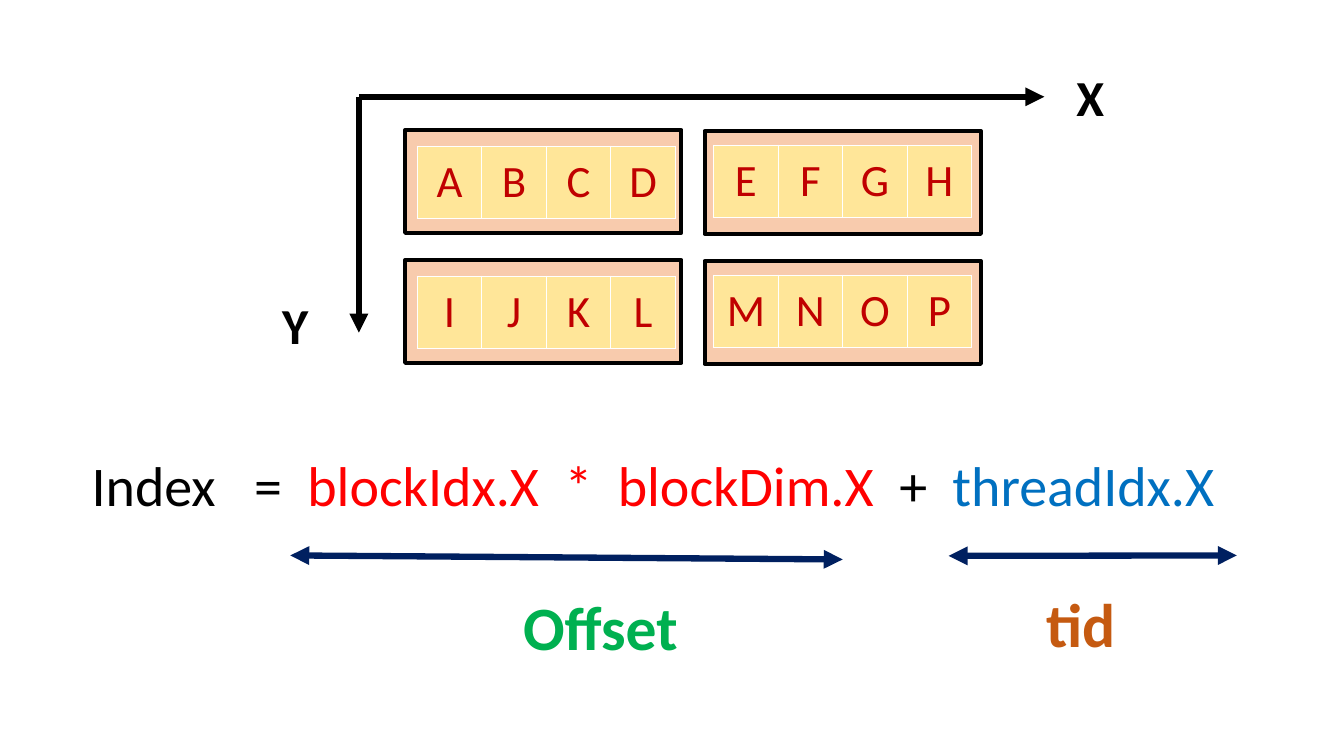
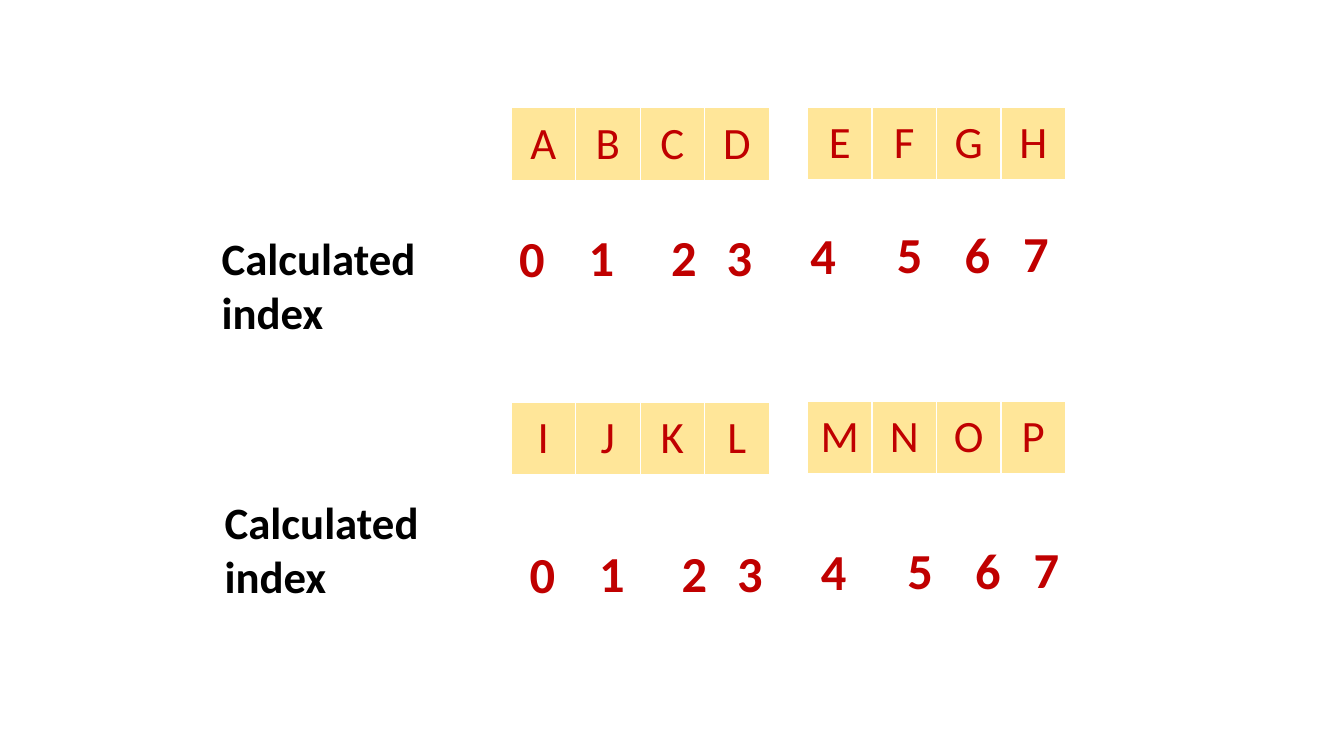
from dataclasses import dataclass
from typing import NamedTuple

from lxml import etree
from pptx import Presentation
from pptx.dml.color import RGBColor
from pptx.enum.shapes import MSO_CONNECTOR, MSO_SHAPE
from pptx.enum.text import MSO_ANCHOR, PP_ALIGN
from pptx.oxml.ns import qn
from pptx.slide import Slide
from pptx.util import Emu, Inches, Pt

RECT = MSO_SHAPE.RECTANGLE
STRAIGHT = MSO_CONNECTOR.STRAIGHT
MIDDLE = MSO_ANCHOR.MIDDLE
CENTER = PP_ALIGN.CENTER


@dataclass(frozen=True)
class Theme:
    font: str = "Calibri"
    black: str = "000000"
    letter: str = "C00000"
    cell: str = "FFE699"
    block: str = "F8CBAD"
    offset_term: str = "FF0000"
    thread_term: str = "0070C0"
    span: str = "002060"
    offset: str = "00B050"
    tid: str = "C55A11"
    cell_size: int = 32
    axis_size: int = 36
    formula_size: int = 40
    span_size: int = 44
    block_line: float = 3
    arrow_line: float = 4.5


class Box(NamedTuple):
    x: float
    y: float
    w: float
    h: float


class Label(NamedTuple):
    text: str
    box: Box
    size: int
    color: str


class Arrow(NamedTuple):
    x1: float
    y1: float
    x2: float
    y2: float
    color: str
    both_ends: bool


class Term(NamedTuple):
    text: str
    color: str


class Digit(NamedTuple):
    x: float
    y: float


T = Theme()
WIDTH, HEIGHT = Inches(13.33), Inches(7.5)
COL, ROW = WIDTH / 100, HEIGHT / 100

THREADS = (("ABCD", "EFGH"), ("IJKL", "MNOP"))
TABLE_W, TABLE_H, TABLE_PITCH = 19.2, 9.6, 22.05
RIGHT_NUDGE = 0.13
BLOCK = Box(30.15, 17.2, 20.55, 13.6)
BLOCK_PITCH_X, BLOCK_PITCH_Y = 22.28, 17.2

FORMULA_BOX = Box(6.08, 58.93, 86.25, 10.27)
FORMULA_TABS = (12.08, 16.05, 35.2, 39.15, 60.1, 64.05)
FORMULA = (
    Term("Index\t=\t", T.black),
    Term("blockIdx.X\t*\tblockDim.X\t", T.offset_term),
    Term("+\t", T.black),
    Term("threadIdx.X", T.thread_term),
)
ARROWS = (
    Arrow(26.7, 12.8, 77.7, 12.8, T.black, False),
    Arrow(26.7, 12.8, 26.7, 44, T.black, False),
    Arrow(21.6, 73.47, 62.7, 74, T.span, True),
    Arrow(70.58, 73.53, 92.03, 73.47, T.span, True),
)
GRID_LABELS = (
    Label("X", Box(79.35, 8.13, 6.98, 9.47), T.axis_size, T.black),
    Label("Y", Box(20.25, 38.27, 6.98, 9.47), T.axis_size, T.black),
    Label("Offset", Box(38.18, 77.2, 17.25, 11.2), T.span_size, T.offset),
    Label("tid", Box(77.1, 76.8, 9.75, 11.2), T.span_size, T.tid),
)

DIGITS = (
    Digit(37.88, 29.33), Digit(43.05, 29.2), Digit(49.2, 29.2), Digit(53.33, 29.2),
    Digit(59.55, 28.93), Digit(66, 28.8), Digit(71.03, 28.8), Digit(75.38, 28.67),
)
DIGIT_SHIFTS = ((0, 0), (0.78, 41.87))
INDEX_LABELS = tuple(
    Label("Calculated index", Box(x, y, 23.03, 15.73), T.cell_size, T.black)
    for x, y in ((15.75, 29.87), (15.98, 64.8))
)


def place(box: Box) -> tuple[Emu, Emu, Emu, Emu]:
    return (Emu(round(box.x * COL)), Emu(round(box.y * ROW)),
            Emu(round(box.w * COL)), Emu(round(box.h * ROW)))


def rgb(color: str) -> RGBColor:
    return RGBColor.from_string(color)


def style(p, size: int, color: str, bold: bool) -> None:
    p.font.name = T.font
    p.font.size = Pt(size)
    p.font.bold = bold
    p.font.color.rgb = rgb(color)


def draw_label(s: Slide, label: Label) -> None:
    tf = s.shapes.add_textbox(*place(label.box)).text_frame
    tf.word_wrap = True
    p = tf.paragraphs[0]
    p.text = label.text
    style(p, label.size, label.color, True)


def draw_block(s: Slide, box: Box) -> None:
    sp = s.shapes.add_shape(RECT, *place(box))
    sp.shadow.inherit = False
    sp.fill.solid()
    sp.fill.fore_color.rgb = rgb(T.block)
    sp.line.color.rgb = rgb(T.black)
    sp.line.width = Pt(T.block_line)


def draw_threads(s: Slide, letters: str, x: float, y: float) -> None:
    box = Box(x, y, TABLE_W, TABLE_H)
    table = s.shapes.add_table(1, len(letters), *place(box)).table
    for cell, letter in zip(table.iter_cells(), letters):
        cell.fill.solid()
        cell.fill.fore_color.rgb = rgb(T.cell)
        cell.vertical_anchor = MIDDLE
        p = cell.text_frame.paragraphs[0]
        p.text = letter
        p.alignment = CENTER
        style(p, T.cell_size, T.letter, False)


def draw_thread_grid(s: Slide, x: float, y: float, pitch_y: float) -> None:
    for row, pair in enumerate(THREADS):
        for col, letters in enumerate(pair):
            draw_threads(s, letters, x + col * TABLE_PITCH,
                         y + row * pitch_y - col * RIGHT_NUDGE)


def draw_arrow(s: Slide, arrow: Arrow) -> None:
    x1, y1, x2, y2 = place(Box(*arrow[:4]))
    line = s.shapes.add_connector(STRAIGHT, x1, y1, x2, y2)
    line.line.color.rgb = rgb(arrow.color)
    line.line.width = Pt(T.arrow_line)
    ln = line.line._get_or_add_ln()
    for end in ("a:headEnd", "a:tailEnd") if arrow.both_ends else ("a:tailEnd",):
        etree.SubElement(ln, qn(end), type="triangle")
    etree.SubElement(line._element.spPr, qn("a:effectLst"))


def draw_formula(s: Slide) -> None:
    tf = s.shapes.add_textbox(*place(FORMULA_BOX)).text_frame
    tf.word_wrap = True
    p = tf.paragraphs[0]
    tabs = etree.SubElement(p._p.get_or_add_pPr(), qn("a:tabLst"))
    for stop in FORMULA_TABS:
        etree.SubElement(tabs, qn("a:tab"), pos=str(round(stop * COL)), algn="l")
    p.font.name = T.font
    p.font.size = Pt(T.formula_size)
    for term in FORMULA:
        r = p.add_run()
        r.text = term.text
        r.font.color.rgb = rgb(term.color)


def build_formula_slide(s: Slide) -> None:
    draw_formula(s)
    for row in range(2):
        for col in range(2):
            draw_block(s, BLOCK._replace(
                x=BLOCK.x + col * BLOCK_PITCH_X,
                y=BLOCK.y + row * BLOCK_PITCH_Y + col * RIGHT_NUDGE))
    draw_thread_grid(s, 31.05, 19.33, BLOCK_PITCH_Y)
    for arrow in ARROWS:
        draw_arrow(s, arrow)
    for label in GRID_LABELS:
        draw_label(s, label)


def build_index_slide(s: Slide) -> None:
    draw_thread_grid(s, 38.03, 14.27, 38.93)
    for dx, dy in DIGIT_SHIFTS:
        for index, digit in enumerate(DIGITS):
            box = Box(digit.x + dx, digit.y + dy, 5.48, 9.47)
            draw_label(s, Label(str(index), box, T.axis_size, T.letter))
    for label in INDEX_LABELS:
        draw_label(s, label)


def main() -> None:
    prs = Presentation()
    prs.slide_width, prs.slide_height = WIDTH, HEIGHT
    blank = prs.slide_layouts[6]
    for build in (build_formula_slide, build_index_slide):
        build(prs.slides.add_slide(blank))
    prs.save("out.pptx")


if __name__ == "__main__":
    main()
